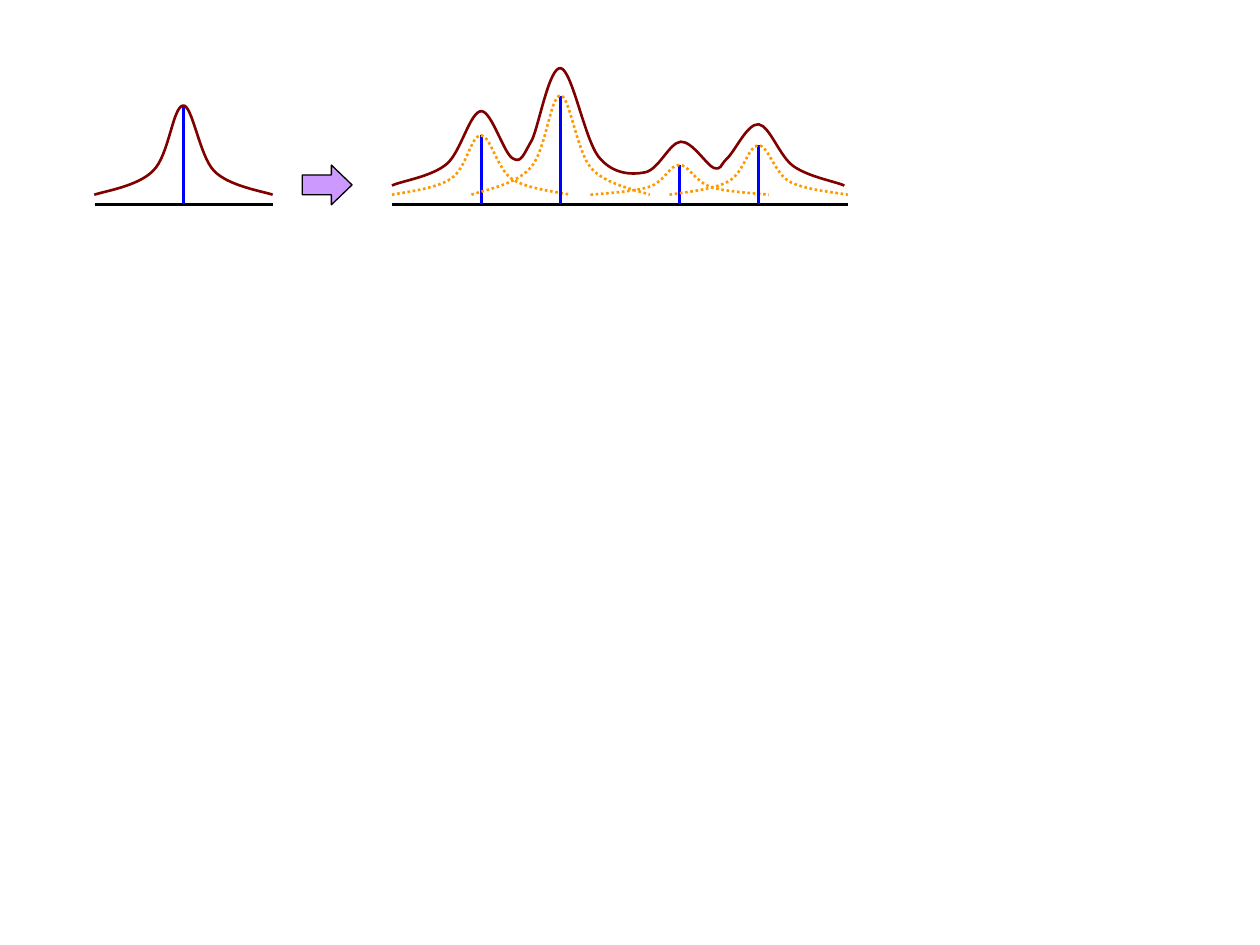
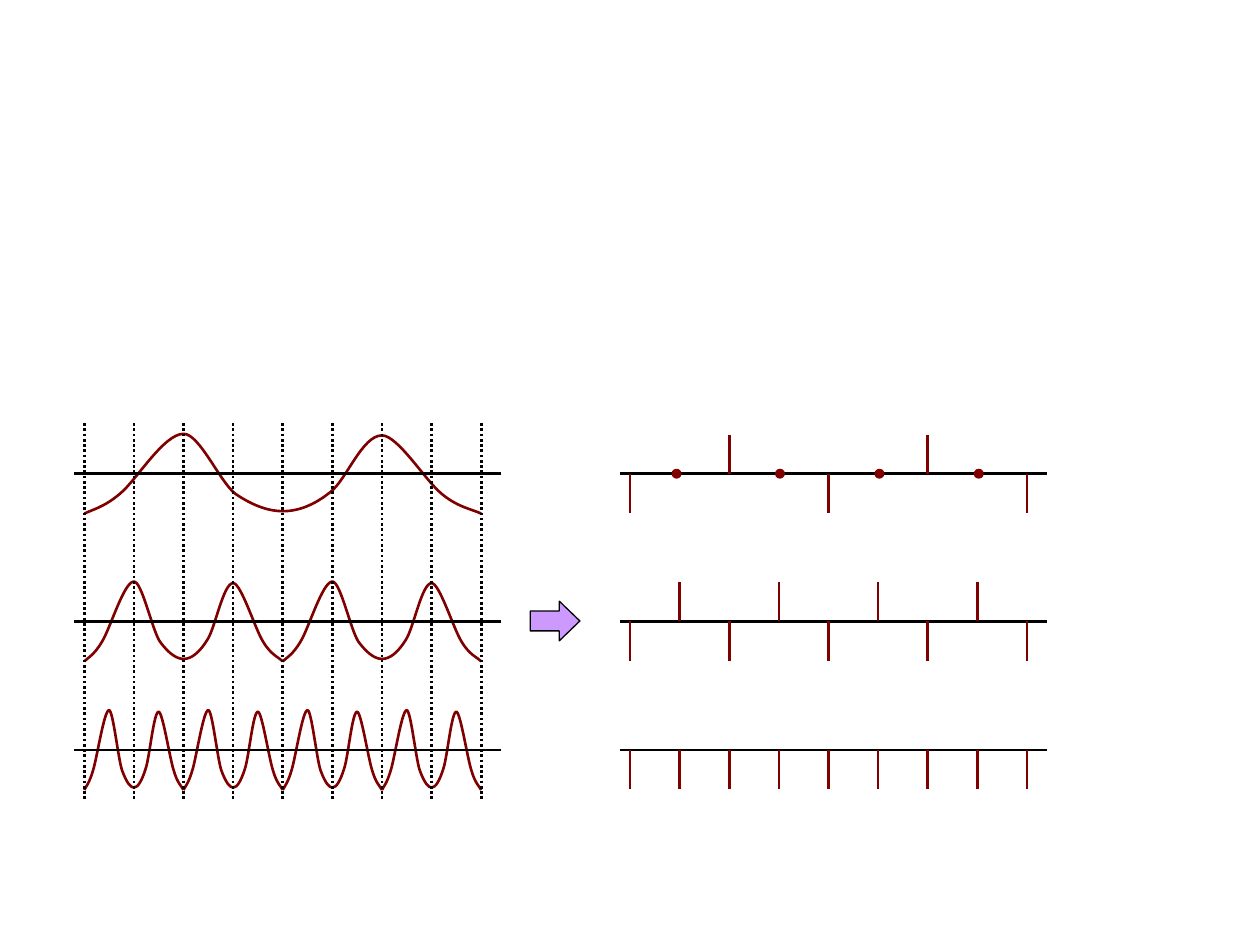
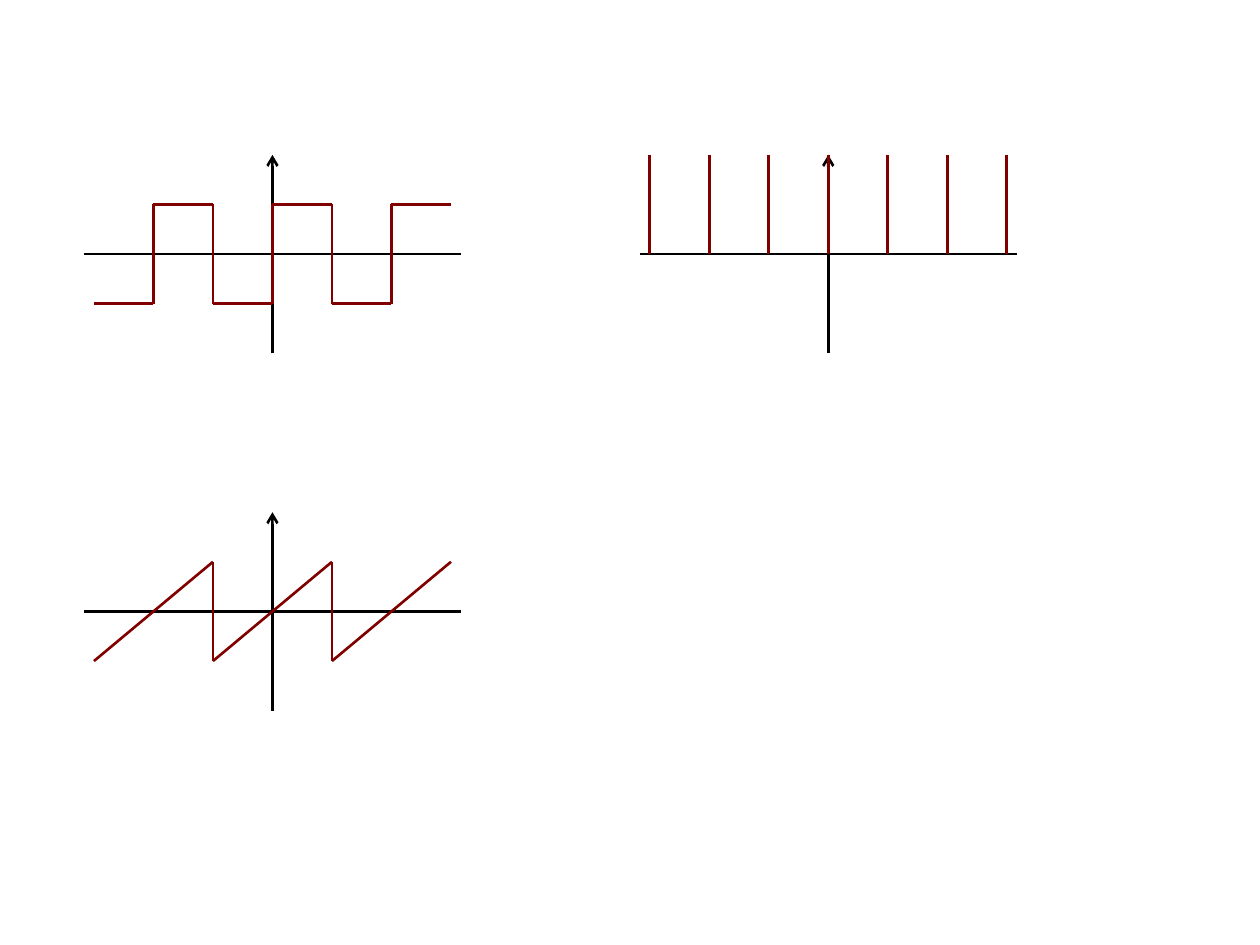
import dataclasses

import lxml.etree
import pptx
import pptx.dml.color
import pptx.enum.dml
import pptx.enum.shapes
import pptx.oxml.ns
import pptx.shapes.autoshape
import pptx.slide
import pptx.util

Pt = pptx.util.Pt
Point = tuple[float, float]
Slide = pptx.slide.Slide
Kind = pptx.enum.shapes.MSO_SHAPE

BLACK, WHITE = "000000", "FFFFFF"
MAROON, BLUE = "800000", "0000FF"
ORANGE, LILAC = "FF9900", "CC99FF"
STROKE = 1.5
MARGIN = 5.7  # how far an axis runs past its data

# Bezier points in a unit box: x runs from 0 to 1, y is the height above the base.
BELL: list[Point] = [
    (0, 0), (.06, .04), (.25, .1), (.33, .27),
    (.42, .44), (.44, 1), (.5, 1), (.55, 1), (.59, .44),
    (.67, .27), (.75, .1), (.94, .04), (1, 0),
]
WAVE: list[Point] = [
    (0, 0), (.02, .05), (.05, .08), (.09, .25),
    (.13, .41), (.2, 1), (.25, 1), (.29, 1), (.34, .41), (.38, .25),
    (.43, .08), (.47, .03), (.5, .03), (.54, .03), (.58, .11), (.62, .27),
    (.66, .42), (.7, .98), (.75, .98), (.79, .98), (.86, .41), (.9, .25),
    (.94, .08), (.98, .05), (1, 0),
]
# Bezier points of the summed spectrum, in points on the slide.
SUM: list[Point] = [
    (224, 106), (229, 103.5), (247, 101), (255.5, 93.5),
    (263.5, 86.5), (268.5, 64), (275, 63.5),
    (281, 63.5), (288, 88), (293, 90.5),
    (298, 93.5), (299, 88.5), (304, 80),
    (308, 71.5), (314, 37.5), (320.5, 39),
    (327, 40.5), (334, 79), (342, 89.5),
    (350, 99.5), (360.5, 100), (368.5, 98.5),
    (376.5, 97), (382.5, 81.5), (389, 81),
    (395.5, 80.5), (404, 94.5), (408, 96),
    (412.5, 97), (411, 95), (415.5, 90.5),
    (420, 86.5), (427, 70.5), (433.5, 71),
    (440, 72), (445.5, 89.5), (453.5, 95),
    (462, 101), (476.5, 103.5), (482.5, 106),
]


@dataclasses.dataclass(frozen=True)
class Peak:
    mid: float
    height: float
    color: str = ORANGE
    dotted: bool = True


@dataclasses.dataclass(frozen=True)
class Row:
    """A wave on its axis, and the signs that its samples run through."""
    axis: float
    waves: int
    signs: tuple[int, ...]


@dataclasses.dataclass(frozen=True)
class Plot:
    """A pair of axes that cross at x, y."""
    x: float
    y: float
    panel: bool = True


PEAKS = [
    Peak(104.9, 51, MAROON, False),
    Peak(275, 34), Peak(320.4, 56.7), Peak(388.4, 17), Peak(433.6, 28.3),
]
ROWS = [Row(270.7, 1, (-1, 0, 1, 0)), Row(355.1, 2, (-1, 1)), Row(428.6, 4, (-1,))]
SQUARE = Plot(155.7, 145.2, panel=False)
SAW = Plot(155.7, 349.4)
COMB = Plot(473.3, 145.2)


def rgb(color: str) -> pptx.dml.color.RGBColor:
    return pptx.dml.color.RGBColor.from_string(color)


def style_line(line, color: str, dotted: bool = False, width: float = STROKE) -> None:
    line.color.rgb = rgb(color)
    line.width = Pt(width)
    if dotted:
        line.dash_style = pptx.enum.dml.MSO_LINE.ROUND_DOT


def draw_line(slide: Slide, start: Point, end: Point, color: str = BLACK,
              dotted: bool = False, arrow: bool = False) -> None:
    line = slide.shapes.add_connector(
        pptx.enum.shapes.MSO_CONNECTOR.STRAIGHT, *(Pt(v) for v in (*start, *end)))
    style_line(line.line, color, dotted)
    props = line.element.spPr
    qn = pptx.oxml.ns.qn
    if arrow:
        lxml.etree.SubElement(props.find(qn("a:ln")), qn("a:tailEnd"), type="arrow")
    lxml.etree.SubElement(props, qn("a:effectLst"))


def draw_curve(slide: Slide, points: list[Point], color: str = MAROON,
               dotted: bool = False) -> None:
    """Draw an open curve: a start, then two handles and an end for each piece."""
    first, *rest = [(Pt(x), Pt(y)) for x, y in points]
    form = slide.shapes.build_freeform(*first)
    form.add_line_segments(rest, close=False)
    curve = form.convert_to_shape()
    curve.shadow.inherit = False
    curve.fill.background()
    style_line(curve.line, color, dotted)
    qn = pptx.oxml.ns.qn
    legs = list(curve.element.iter(qn("a:lnTo")))
    for i in range(0, len(legs), 3):
        piece = lxml.etree.Element(qn("a:cubicBezTo"))
        legs[i].addprevious(piece)
        for leg in legs[i:i + 3]:
            piece.append(leg[0])
            leg.getparent().remove(leg)


def fit(unit: list[Point], left: float, base: float,
        width: float, height: float) -> list[Point]:
    """Scale unit points to a box that stands on base."""
    return [(left + x * width, base - y * height) for x, y in unit]


def draw_shape(slide: Slide, kind: Kind, left: float, top: float, width: float,
               height: float, fill: str) -> pptx.shapes.autoshape.Shape:
    shape = slide.shapes.add_shape(kind, Pt(left), Pt(top), Pt(width), Pt(height))
    shape.shadow.inherit = False
    shape.fill.solid()
    shape.fill.fore_color.rgb = rgb(fill)
    shape.line.fill.background()
    return shape


def draw_arrow(slide: Slide, left: float, top: float) -> None:
    arrow = draw_shape(slide, Kind.RIGHT_ARROW, left, top, 28.4, 22.7, LILAC)
    arrow.adjustments[0], arrow.adjustments[1] = .5, .52
    style_line(arrow.line, BLACK, width=.75)


def draw_peaks(slide: Slide) -> None:
    axis, base, width = 116.8, 111.3, 102
    for left, right in ((54, 155.8), (223.9, 484.5)):
        draw_line(slide, (left, axis), (right, axis))
    for peak in PEAKS:
        draw_line(slide, (peak.mid, axis), (peak.mid, base - peak.height), BLUE)
        draw_curve(slide, fit(BELL, peak.mid - width / 2, base, width, peak.height),
                   peak.color, peak.dotted)
    draw_curve(slide, SUM)
    draw_arrow(slide, 172.8, 94.3)


def draw_samples(slide: Slide) -> None:
    left, right, step, count = 48.2, 360, 28.35, 8
    span, swing, stem = count * step, 22.8, 22.4
    draw_arrow(slide, 303, 343.5)
    for row in ROWS:
        width = span / row.waves
        for i in range(row.waves):
            draw_curve(slide, fit(WAVE, left + i * width, row.axis + swing,
                                  width, 2 * swing))
        for start in (left, right):
            draw_line(slide, (start - MARGIN, row.axis),
                      (start + span + 2 * MARGIN, row.axis))
    for i in range(count + 1):
        x = left + i * step
        draw_line(slide, (x, 241.8), (x, 457.2), dotted=True)
        for row in ROWS:
            sign = row.signs[i % len(row.signs)]
            if sign:
                x = right + i * step
                draw_line(slide, (x, row.axis), (x, row.axis - sign * stem), MAROON)
    size = 5.7
    for mid in (386.6, 445.7, 502.5, 559.3):
        draw_shape(slide, Kind.OVAL, mid - size / 2, ROWS[0].axis - size / 2,
                   size, size, MAROON)


def draw_axes(slide: Slide, plot: Plot, reach: float, rise: float) -> None:
    if plot.panel:
        draw_shape(slide, Kind.RECTANGLE, plot.x - 124.7, plot.y - 62.3,
                   255, 127.5, WHITE)
    draw_line(slide, (plot.x - reach, plot.y), (plot.x + reach, plot.y))
    draw_line(slide, (plot.x, plot.y + rise), (plot.x, plot.y - rise), arrow=True)


def draw_signals(slide: Slide) -> None:
    step, swing, rise, half = 34, 28.35, 56.7, 3

    def trace(plot: Plot, start: Point, end: Point) -> None:
        """Draw a line between points given in steps across and swings up."""
        ends = [(plot.x + x * step, plot.y - y * swing) for x, y in (start, end)]
        draw_line(slide, *ends, MAROON)

    for plot in (SQUARE, SAW, COMB):
        draw_axes(slide, plot, half * step + MARGIN, rise)
    for i in range(-half, half):
        level = -1 if i % 2 else 1
        trace(SQUARE, (i, level), (i + 1, level))
        if i > -half:
            trace(SQUARE, (i, 1), (i, -1))
    for i in range(-half, half, 2):
        trace(SAW, (i, -1), (i + 2, 1))
        if i > -half:
            trace(SAW, (i, 1), (i, -1))
    for i in range(-half, half + 1):
        trace(COMB, (i, 2), (i, 0))


def main() -> None:
    deck = pptx.Presentation()
    deck.slide_width, deck.slide_height = Pt(720), Pt(540)
    for draw in (draw_peaks, draw_samples, draw_signals):
        draw(deck.slides.add_slide(deck.slide_layouts[6]))
    deck.save("out.pptx")


if __name__ == "__main__":
    main()
